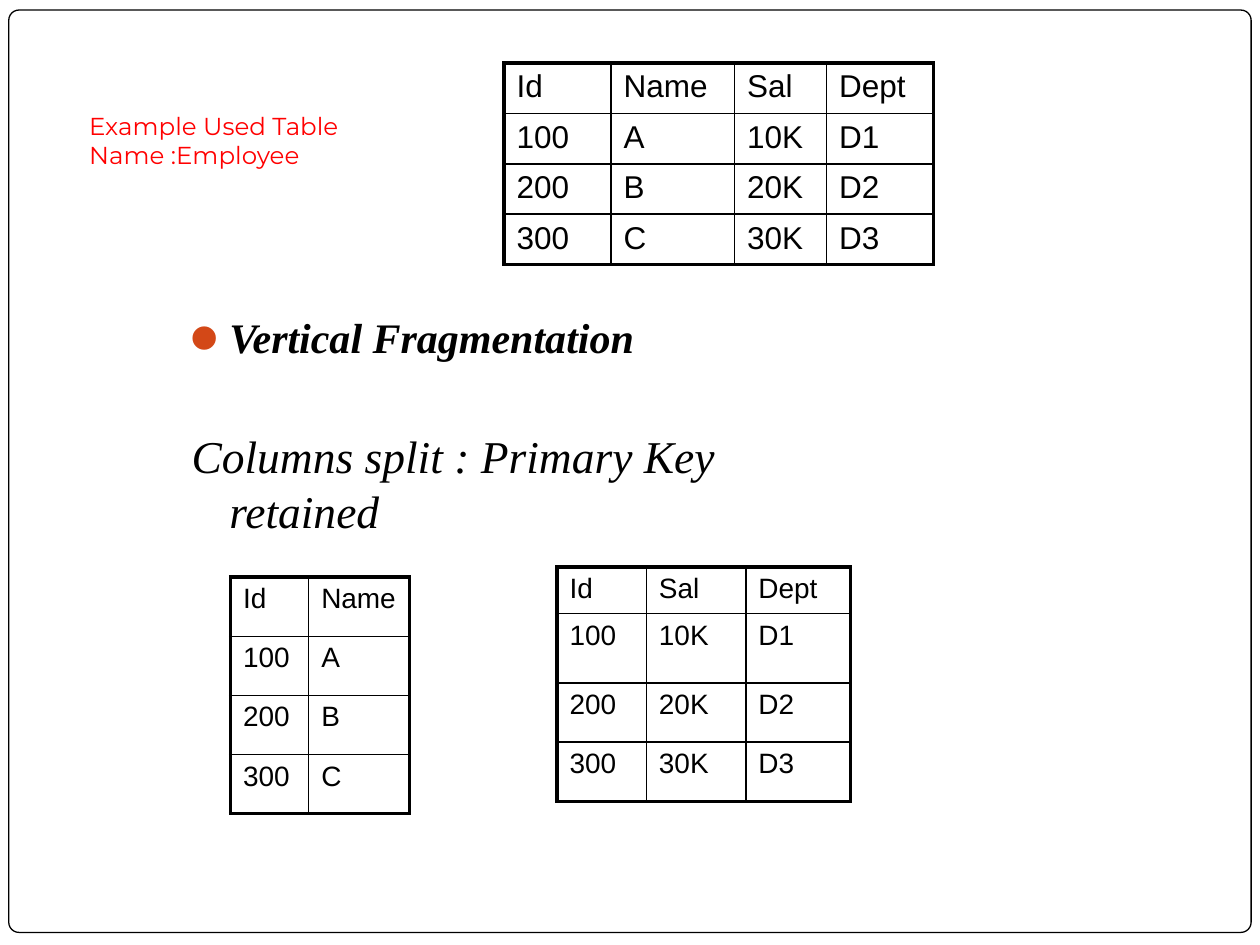
from lxml.etree import SubElement
from pptx import Presentation
from pptx.dml.color import RGBColor
from pptx.enum.shapes import MSO_SHAPE
from pptx.enum.text import MSO_ANCHOR, MSO_AUTO_SIZE, PP_ALIGN
from pptx.oxml.ns import qn
from pptx.util import Inches, Pt

COLORS = {"ink": "000000", "paper": "FFFFFF", "bullet": "D34817", "label": "FF0000"}
OUTER, INNER = 2.25, 1


def color(name):
    return RGBColor.from_string(COLORS[name])


def style_font(font, name, size, ink="ink", bold=False, italic=False):
    font.name, font.size = name, Pt(size)
    font.bold, font.italic = bold, italic
    font.color.rgb = color(ink)


def add_frame(page):
    frame = page.shapes.add_shape(
        MSO_SHAPE.ROUNDED_RECTANGLE,
        Inches(0.07), Inches(0.08), Inches(9.86), Inches(7.32))
    frame.adjustments[0] = 0.011
    frame.shadow.inherit = False
    frame.fill.solid()
    frame.fill.fore_color.rgb = color("paper")
    frame.line.color.rgb = color("ink")
    frame.line.width = Pt(0.75)
    return frame


def set_bullet(para, symbol=None):
    """Hang the paragraph by 0.3 inches, with or without a bullet."""
    props = para._p.get_or_add_pPr()
    props.set("marL", str(Inches(0.3)))
    props.set("indent", str(-Inches(0.3)))
    if symbol:
        tint = SubElement(props, qn("a:buClr"))
        SubElement(tint, qn("a:srgbClr"), val=COLORS["bullet"])
        SubElement(props, qn("a:buChar"), char=symbol)
    else:
        SubElement(props, qn("a:buNone"))


def fill_body(box):
    box.left, box.top = Inches(1.42), Inches(2.42)
    box.width, box.height = Inches(4.92), Inches(5.08)
    frame = box.text_frame
    frame.auto_size = MSO_AUTO_SIZE.NONE
    frame.vertical_anchor = MSO_ANCHOR.TOP
    frame.text = "Vertical Fragmentation\nColumns split : Primary Key retained"
    looks = [("⚫", 24, True, 0), (None, 26, False, 38)]
    for para, (symbol, size, bold, gap) in zip(frame.paragraphs, looks):
        set_bullet(para, symbol)
        para.alignment = PP_ALIGN.LEFT
        para.space_before = Pt(gap)
        for span in para.runs:
            style_font(span.font, "Times New Roman", size, bold=bold, italic=True)


def set_borders(cell, widths):
    """Draw the left, right, top and bottom borders, in that order."""
    props = cell._tc.get_or_add_tcPr()
    for place, (side, width) in enumerate(zip("LRTB", widths)):
        line = SubElement(props, qn(f"a:ln{side}"), w=str(Pt(width)))
        fill = SubElement(line, qn("a:solidFill"))
        SubElement(fill, qn("a:srgbClr"), val=COLORS["ink"])
        props.insert(place, line)


def add_grid(page, left, top, columns, heights, size, records):
    grid = page.shapes.add_table(
        len(heights), len(columns), Inches(left), Inches(top),
        Inches(sum(columns)), Inches(sum(heights))).table
    grid.first_row = grid.horz_banding = False
    for column, width in zip(grid.columns, columns):
        column.width = Inches(width)
    last_row, last_column = len(heights) - 1, len(columns) - 1
    for r, record in enumerate(records):
        grid.rows[r].height = Inches(heights[r])
        for c, value in enumerate(record):
            cell = grid.cell(r, c)
            cell.text = value
            style_font(cell.text_frame.paragraphs[0].runs[0].font, "Arial", size)
            cell.fill.background()
            edges = (c == 0, c == last_column, r == 0, r == last_row)
            set_borders(cell, [OUTER if edge else INNER for edge in edges])


def add_label(page):
    box = page.shapes.add_textbox(
        Inches(0.61), Inches(0.83), Inches(3.14), Inches(0.69))
    frame = box.text_frame
    frame.word_wrap = True
    frame.margin_right = Inches(0.6)
    frame.text = "Example Used Table Name :Employee"
    style_font(frame.paragraphs[0].runs[0].font, "Montserrat", 14, "label")


def main():
    deck = Presentation()
    deck.slide_width, deck.slide_height = Inches(10), Inches(7.5)
    page = deck.slides.add_slide(deck.slide_layouts[1])

    # Frame behind the body text; the page has no title
    title = page.shapes.title.element
    title.getparent().remove(title)
    body = page.placeholders[1]
    body.element.addprevious(add_frame(page).element)
    fill_body(body)

    # Employee table and its two vertical fragments
    employees = [("Id", "Name", "Sal", "Dept"), ("100", "A", "10K", "D1"),
                 ("200", "B", "20K", "D2"), ("300", "C", "30K", "D3")]
    names = [row[:2] for row in employees]
    salaries = [row[:1] + row[2:] for row in employees]
    add_grid(page, 4, 0.5, [0.85, 0.98, 0.73, 0.85], [0.4] * 4, 18, employees)
    add_grid(page, 1.83, 4.58, [0.62, 0.8], [0.47] * 4, 16, names)
    add_grid(page, 4.42, 4.5, [0.71, 0.79, 0.83], [0.37, 0.55, 0.47, 0.47], 16, salaries)

    add_label(page)
    deck.save("out.pptx")


if __name__ == "__main__":
    main()
